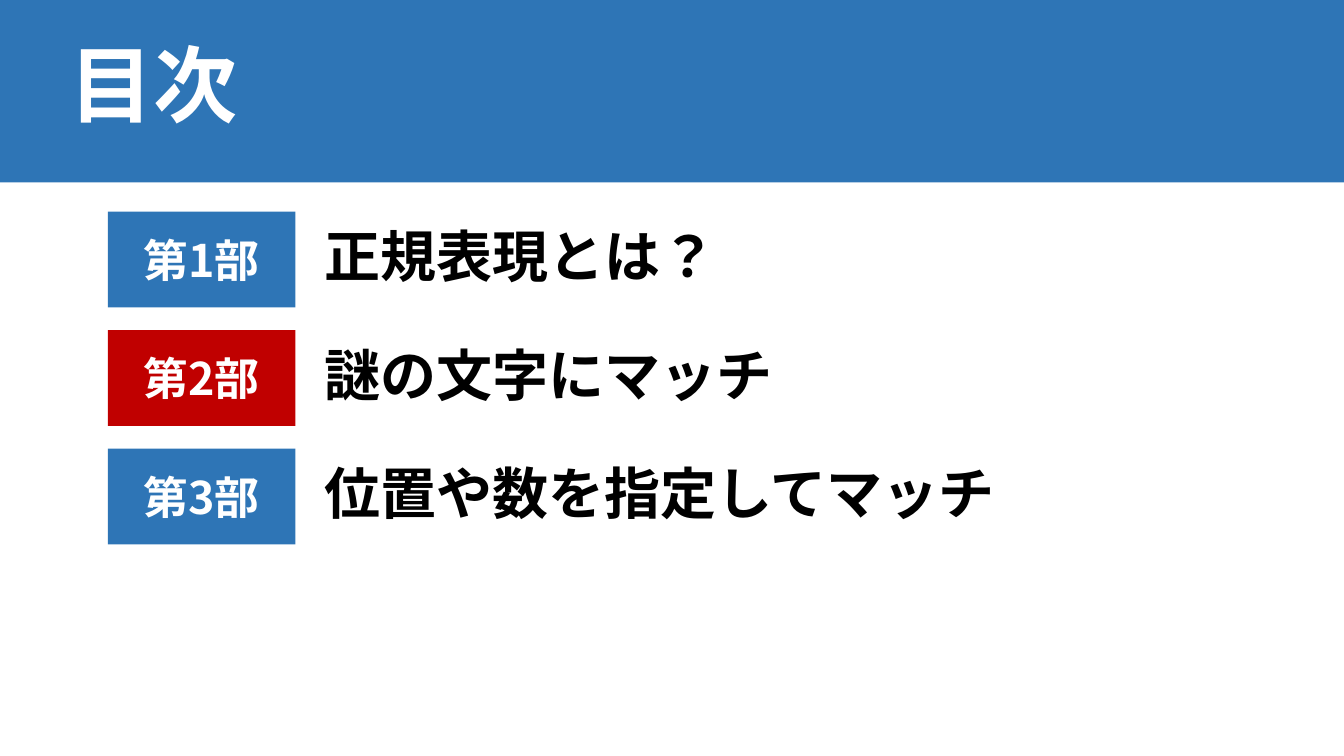
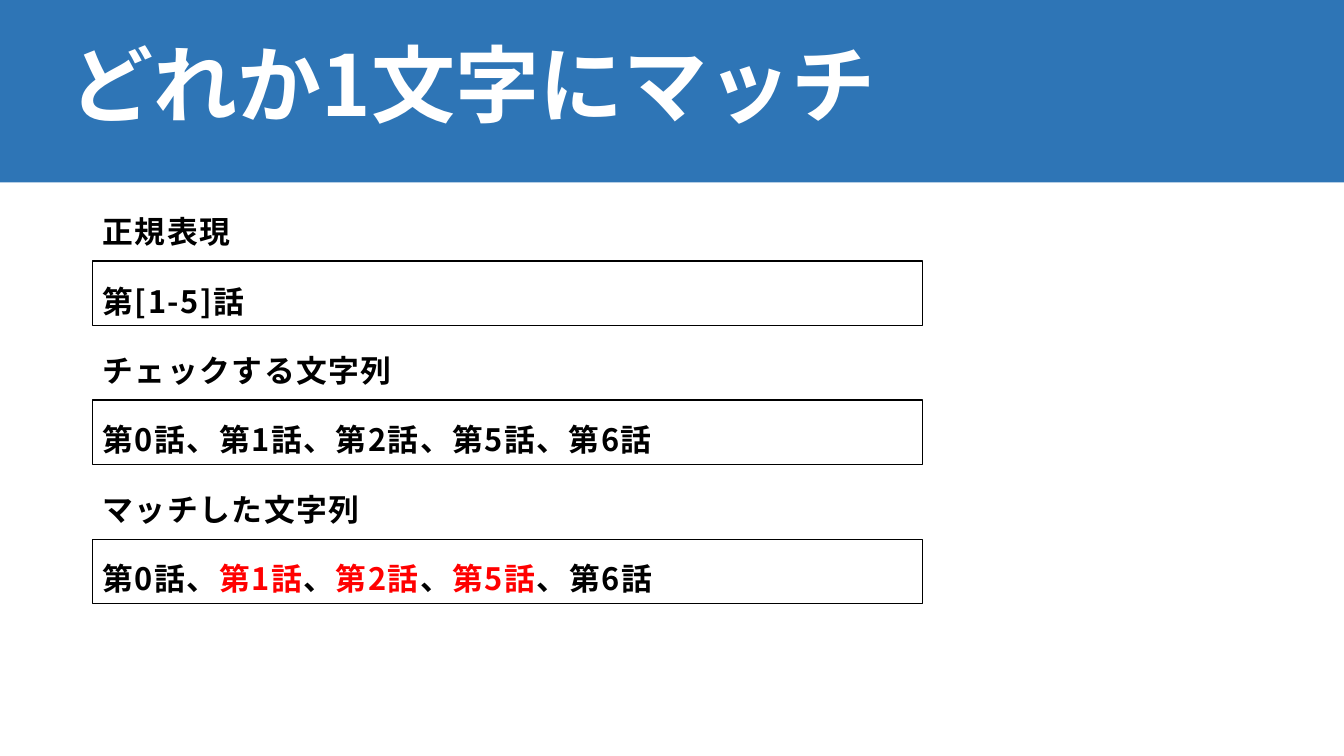
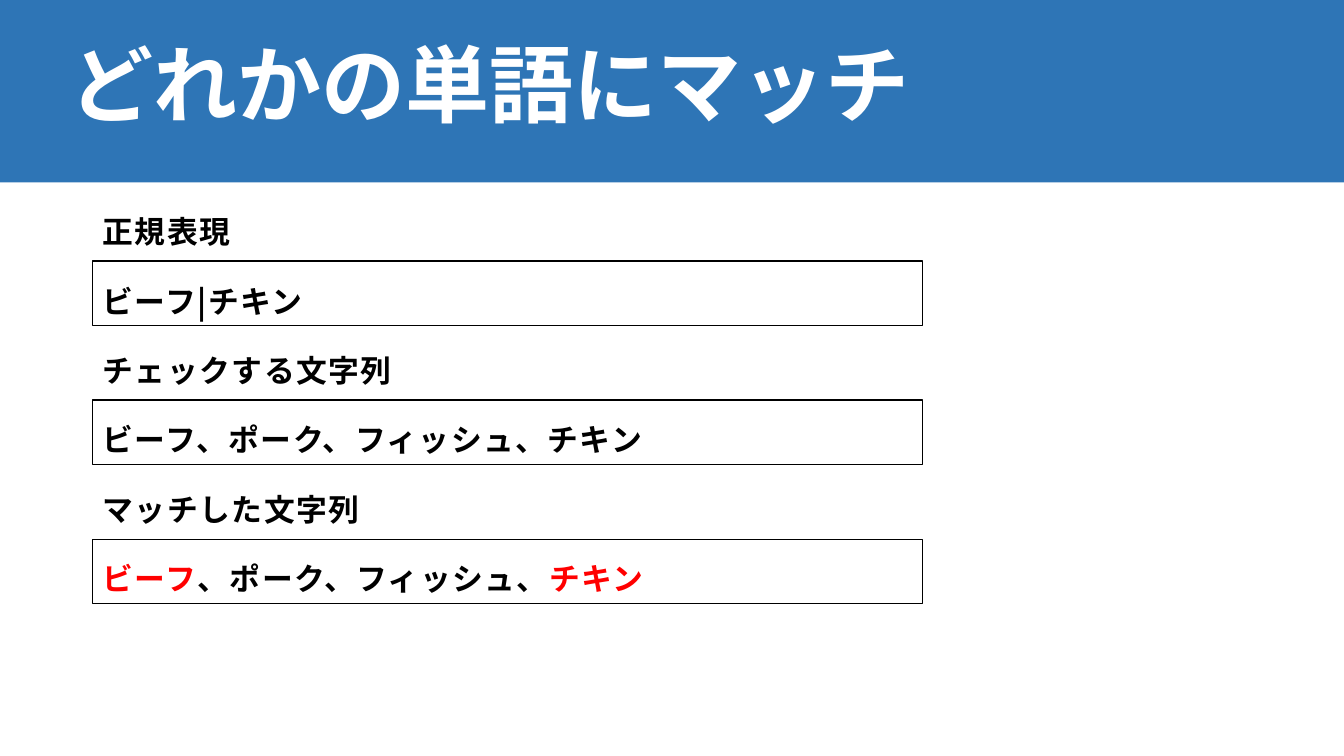
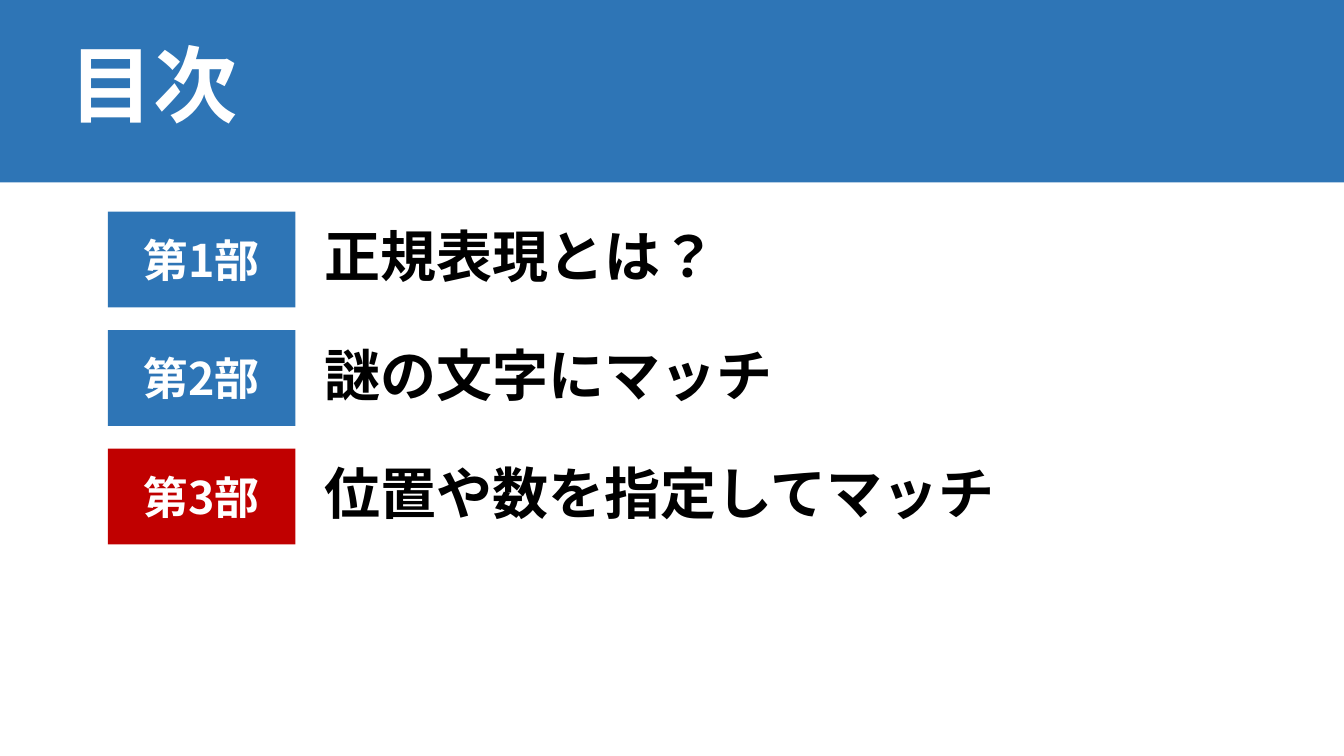
from pptx import Presentation
from pptx.dml.color import RGBColor
from pptx.enum import lang, shapes, text
from pptx.oxml import ns
from pptx.util import Inches, Pt
from lxml import etree

FONT = "Noto Sans CJK JP"
BLUE = RGBColor(0x2E, 0x75, 0xB6)
CRIMSON = RGBColor(0xC0, 0x00, 0x00)
RED = RGBColor(0xFF, 0x00, 0x00)
BLACK = RGBColor(0x00, 0x00, 0x00)
WHITE = RGBColor(0xFF, 0xFF, 0xFF)

# (part, subject, width of the subject in inches)
PARTS = [
    ("第1部", "正規表現とは？", 4.47),
    ("第2部", "謎の文字にマッチ", 4.86),
    ("第3部", "位置や数を指定してマッチ", 7.5),
]
HEADINGS = ["正規表現", "チェックする文字列", "マッチした文字列"]
# Matched strings stand between asterisks.
ONE_CHARACTER = [
    "第[1-5]話",
    "第0話、第1話、第2話、第5話、第6話",
    "第0話、*第1話*、*第2話*、*第5話*、第6話",
]
ANY_WORD = [
    "ビーフ|チキン",
    "ビーフ、ポーク、フィッシュ、チキン",
    "*ビーフ*、ポーク、フィッシュ、*チキン*",
]

SLIDE_WIDTH = 13.33
FIRST_PART_TOP, LAST_PART_TOP, PART_HEIGHT = 2.1, 4.45, 0.95
PART_PITCH = (LAST_PART_TOP - FIRST_PART_TOP) / (len(PARTS) - 1)
SUBJECT_HEIGHT = 1.13
EXAMPLE_LEFT, EXAMPLE_TOP, EXAMPLE_PITCH = 0.92, 2.59, 1.38


def place(left, top, width, height):
    return [Inches(value) for value in (left, top, width, height)]


def write(frame, lines, size, color=BLACK, align=text.PP_ALIGN.LEFT,
          anchor=text.MSO_ANCHOR.MIDDLE, line_spacing=None, before=0, tracking=None):
    """Fill a text frame with lines; pieces between asterisks turn red."""
    frame.word_wrap = True
    frame.auto_size = text.MSO_AUTO_SIZE.NONE
    frame.vertical_anchor = anchor
    for number, line in enumerate(lines):
        paragraph = frame.add_paragraph() if number else frame.paragraphs[0]
        paragraph.alignment = align
        paragraph.line_spacing = line_spacing
        paragraph.space_before = Pt(before if number else 0)
        for index, piece in enumerate(line.split("*")):
            if not piece:
                continue
            run = paragraph.add_run()
            run.text = piece
            run.font.size, run.font.bold, run.font.name = Pt(size), True, FONT
            run.font.language_id = lang.MSO_LANGUAGE_ID.JAPANESE
            run.font.color.rgb = RED if index % 2 else color
            properties = run.font._element
            etree.SubElement(properties, ns.qn("a:ea")).set("typeface", FONT)
            if tracking:
                properties.set("spc", str(round(tracking * 100)))


def add_rectangle(slide, box, fill=None, line=None):
    rectangle = slide.shapes.add_shape(shapes.MSO_SHAPE.RECTANGLE, *place(*box))
    rectangle.shadow.inherit = False
    if fill is None:
        rectangle.fill.background()
    else:
        rectangle.fill.solid()
        rectangle.fill.fore_color.rgb = fill
    if line is None:
        rectangle.line.fill.background()
    else:
        rectangle.line.color.rgb = line
        rectangle.line.width = Pt(1)
    return rectangle


def add_titled_slide(deck, heading):
    slide = deck.slides.add_slide(deck.slide_layouts[5])
    band = add_rectangle(slide, (0, 0, SLIDE_WIDTH, 1.81), fill=BLUE)
    slide.shapes._spTree.insert(2, band._element)  # behind the title
    title = slide.shapes.title
    title.left, title.top, title.width, title.height = place(0.59, 0.16, 11.5, 1.45)
    write(title.text_frame, [heading], 60, color=WHITE, line_spacing=0.9)
    return slide


def add_contents(deck, current):
    slide = add_titled_slide(deck, "目次")
    for row, (part, subject, width) in enumerate(PARTS):
        top = FIRST_PART_TOP + row * PART_PITCH
        label = add_rectangle(slide, (1.07, top, 1.86, PART_HEIGHT),
                              fill=CRIMSON if part == current else BLUE)
        write(label.text_frame, [part], 32, color=WHITE, align=text.PP_ALIGN.CENTER)
        subject_top = top + (PART_HEIGHT - SUBJECT_HEIGHT) / 2
        subject_box = slide.shapes.add_textbox(
            *place(3.12, subject_top, width, SUBJECT_HEIGHT))
        write(subject_box.text_frame, [subject], 40, line_spacing=0.9)


def add_example(deck, heading, examples):
    slide = add_titled_slide(deck, heading)
    lines = [line for pair in zip(HEADINGS, examples) for line in pair]
    body = slide.shapes.add_textbox(*place(EXAMPLE_LEFT, 1.88, 11.5, 4.76))
    write(body.text_frame, lines, 22, anchor=text.MSO_ANCHOR.TOP,
          line_spacing=1.5, before=10, tracking=1.1)
    for row in range(len(examples)):
        top = EXAMPLE_TOP + row * EXAMPLE_PITCH
        add_rectangle(slide, (EXAMPLE_LEFT, top, 8.23, 0.64), line=BLACK)


def main():
    deck = Presentation()
    deck.slide_width, deck.slide_height = Inches(SLIDE_WIDTH), Inches(7.5)
    add_contents(deck, current="第2部")
    add_example(deck, "どれか1文字にマッチ", ONE_CHARACTER)
    add_example(deck, "どれかの単語にマッチ", ANY_WORD)
    add_contents(deck, current="第3部")
    deck.save("out.pptx")


if __name__ == "__main__":
    main()
